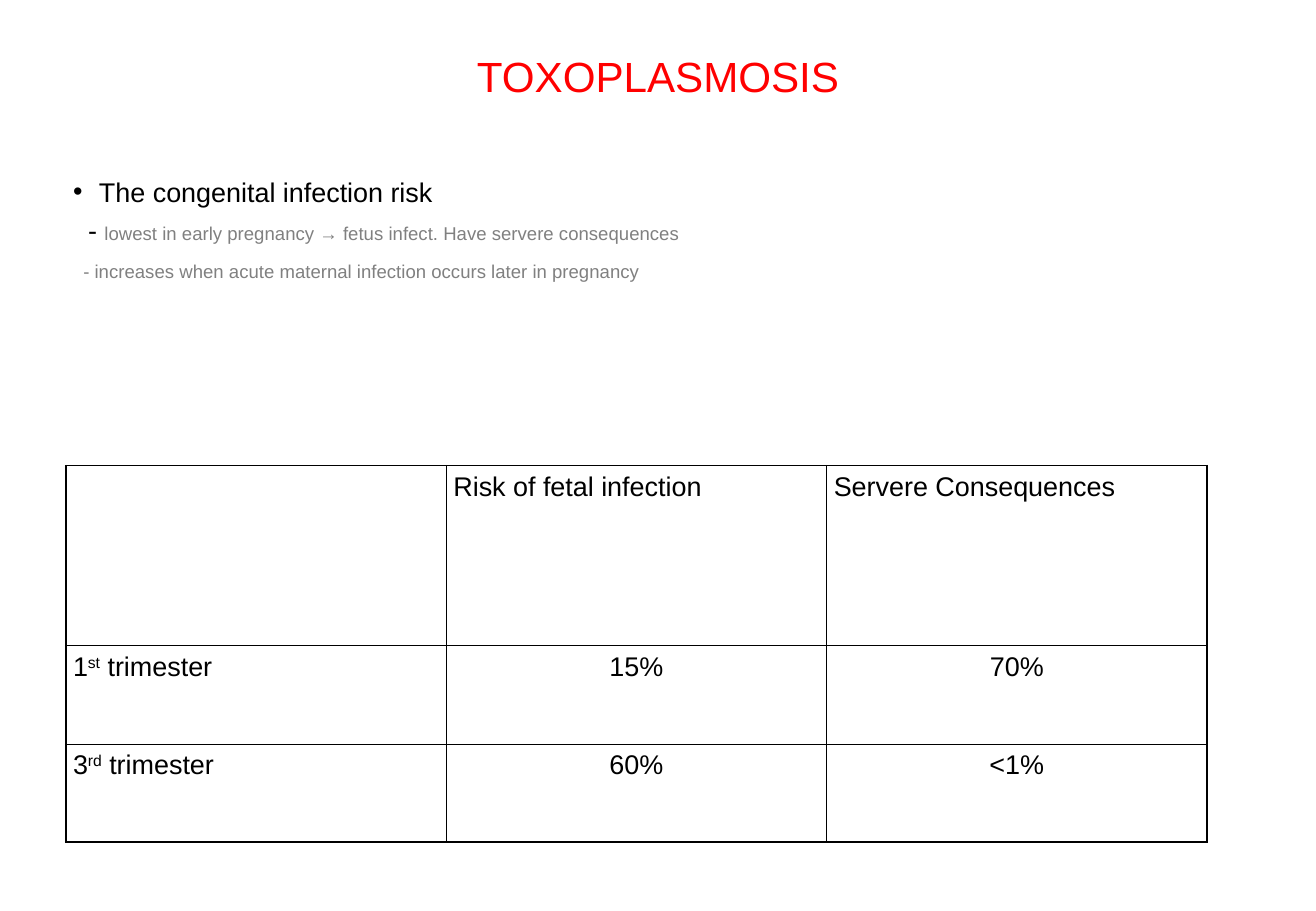
from lxml import etree
from pptx import Presentation
from pptx.dml.color import RGBColor
from pptx.enum.text import MSO_ANCHOR, PP_ALIGN
from pptx.oxml.ns import qn
from pptx.util import Pt

LEFT, CENTER = PP_ALIGN.LEFT, PP_ALIGN.CENTER
TOP, MIDDLE = MSO_ANCHOR.TOP, MSO_ANCHOR.MIDDLE

BLACK, RED, GRAY = "000000", "FF0000", "808080"
OUTER_LINE, INNER_LINE = 1.08, 0.45
HEADING = {"size": 25, "color": RED}
BODY = {"size": 16, "color": BLACK}
DETAIL = {"size": 11, "color": GRAY}
SUPERSCRIPT = {**BODY, "baseline": 30000}

BODY_LINES = [
    ([("The congenital infection risk", BODY)], {"bullet": "•", "indent": 15.4}),
    ([("- ", BODY),
      ("lowest in early pregnancy → fetus infect. Have servere consequences", DETAIL)],
     {"indent": 8.9, "space_before": 3.2}),
    ([("- increases when acute maternal infection occurs later in pregnancy", DETAIL)],
     {"indent": 6.1, "space_before": 8.5}),
]


def trimester(number, suffix):
    return [(number, BODY), (suffix, SUPERSCRIPT), (" trimester", BODY)]


RISK_ROWS = [
    [[], [("Risk of fetal infection", BODY)], [("Servere Consequences", BODY)]],
    [trimester("1", "st"), [("15%", BODY)], [("70%", BODY)]],
    [trimester("3", "rd"), [("60%", BODY)], [("<1%", BODY)]],
]
COLUMN_WIDTH = 225.5
ROW_HEIGHTS = [106.8, 58.2, 58.2]


def rgb(color):
    return RGBColor.from_string(color)


def set_attributes(target, values):
    for name, value in values.items():
        setattr(target, name, value)


def set_indent(para, indent, bullet):
    """Indent the paragraph; a bullet hangs in the indent."""
    properties = para._p.get_or_add_pPr()
    properties.set("marL", str(Pt(indent)))
    properties.set("indent", str(-Pt(indent) if bullet else 0))
    if bullet:
        etree.SubElement(properties, qn("a:buFont"), typeface="Arial")
        etree.SubElement(properties, qn("a:buChar"), char=bullet)


def write_para(para, spans, align=LEFT, indent=0, bullet=None, space_before=0):
    set_indent(para, indent, bullet)
    set_attributes(para, {"alignment": align, "space_before": Pt(space_before),
                          "space_after": Pt(0)})
    for text, style in spans:
        span = para.add_run()
        span.text = text
        set_attributes(span.font, {"name": "Arial", "size": Pt(style["size"]),
                                   "bold": False})
        span.font.color.rgb = rgb(style["color"])
        if "baseline" in style:
            span._r.get_or_add_rPr().set("baseline", str(style["baseline"]))


def add_text(page, place, lines, anchor=TOP):
    box = page.shapes.add_textbox(*map(Pt, place))
    frame = box.text_frame
    set_attributes(frame, {"word_wrap": True, "vertical_anchor": anchor,
                           "margin_left": Pt(4.3), "margin_right": Pt(4.3),
                           "margin_top": Pt(2.2), "margin_bottom": Pt(2.2)})
    for index, (spans, layout) in enumerate(lines):
        para = frame.add_paragraph() if index else frame.paragraphs[0]
        write_para(para, spans, **layout)


def set_borders(cell, outer_sides):
    """Draw the table's outer sides heavier than the inner ones."""
    properties = cell._tc.get_or_add_tcPr()
    for side, is_outer in outer_sides.items():
        width = Pt(OUTER_LINE if is_outer else INNER_LINE)
        line = etree.SubElement(properties, qn(f"a:ln{side}"), w=str(width))
        fill = etree.SubElement(line, qn("a:solidFill"))
        etree.SubElement(fill, qn("a:srgbClr"), val=BLACK)


def add_risk_table(page, left, top):
    row_count, column_count = len(RISK_ROWS), len(RISK_ROWS[0])
    frame = page.shapes.add_table(
        row_count, column_count, Pt(left), Pt(top),
        Pt(COLUMN_WIDTH * column_count), Pt(sum(ROW_HEIGHTS)))
    table = frame.table
    set_attributes(table, {"first_row": False, "horz_banding": False})
    for column in table.columns:
        column.width = Pt(COLUMN_WIDTH)
    for r, row in enumerate(RISK_ROWS):
        table.rows[r].height = Pt(ROW_HEIGHTS[r])
        for c, spans in enumerate(row):
            cell = table.cell(r, c)
            set_attributes(cell, {"margin_left": Pt(4.3), "margin_right": Pt(4.3),
                                  "margin_top": Pt(3.6), "margin_bottom": Pt(3.6),
                                  "vertical_anchor": TOP})
            set_borders(cell, {"L": c == 0, "R": c == column_count - 1,
                               "T": r == 0, "B": r == row_count - 1})
            cell.fill.background()
            write_para(cell.text_frame.paragraphs[0], spans,
                       align=CENTER if r and c else LEFT)


def main():
    deck = Presentation()
    set_attributes(deck, {"slide_width": Pt(780.13), "slide_height": Pt(540)})
    page = deck.slides.add_slide(deck.slide_layouts[6])
    add_text(page, (39, 0, 702, 90),
             [([("TOXOPLASMOSIS", HEADING)], {"align": CENTER})], MIDDLE)
    add_text(page, (39, 101.8, 695.5, 203.8), BODY_LINES)
    add_risk_table(page, 39, 276)
    deck.save("out.pptx")


if __name__ == "__main__":
    main()
